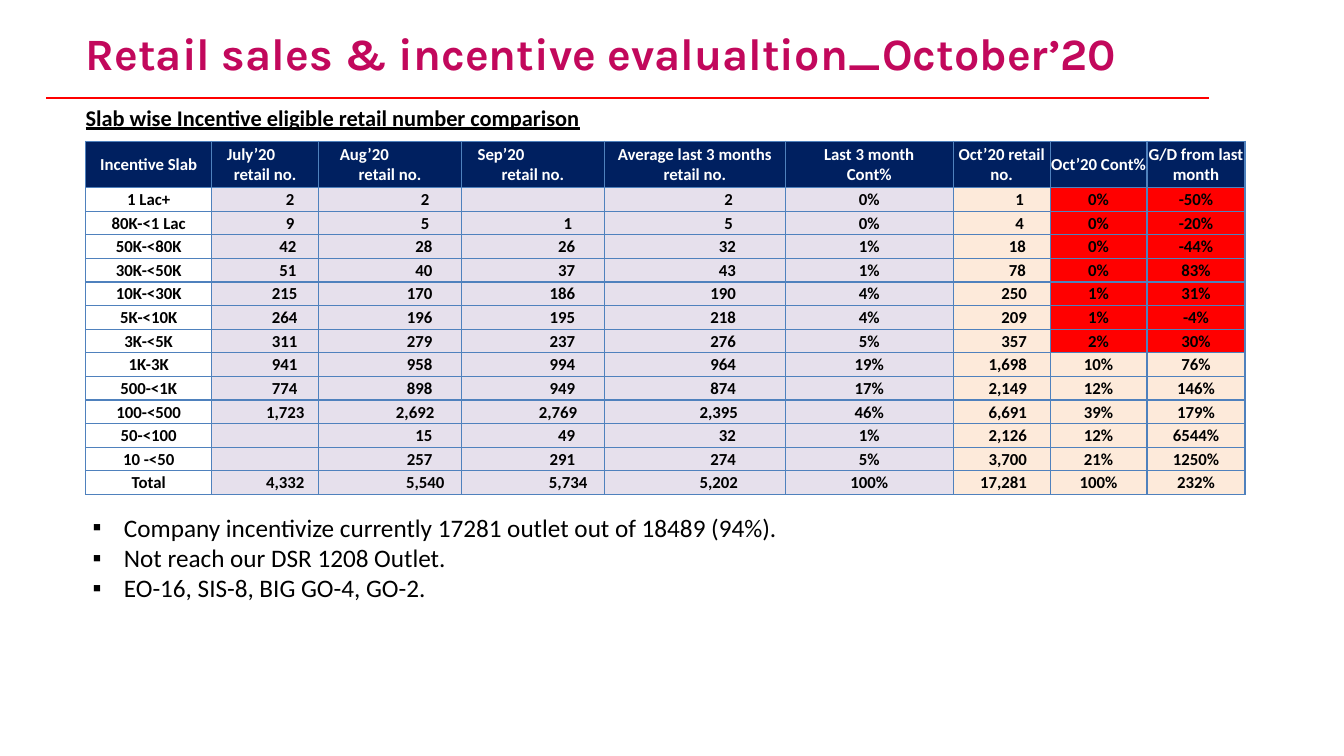
from lxml.etree import SubElement
from pptx import Presentation
from pptx.dml.color import RGBColor
from pptx.enum.shapes import MSO_CONNECTOR
from pptx.enum.text import MSO_ANCHOR, MSO_AUTO_SIZE, PP_ALIGN
from pptx.oxml.ns import qn
from pptx.util import Emu, Inches, Pt

SLIDE_WIDTH, SLIDE_HEIGHT = Inches(13.33), Inches(7.5)
NAVY, LILAC, PEACH, RED = "002060", "E6E0EC", "FDEADA", "FF0000"
BLACK, WHITE, MAGENTA, BORDER = "000000", "FFFFFF", "C2085C", "4F81BD"

HEADINGS = [
    ["Incentive Slab"],
    ["July’20", "retail no."],
    ["Aug’20", "retail no."],
    ["Sep’20", "retail no."],
    ["Average last 3 months", "retail no."],
    ["Last 3 month", "Cont%"],
    ["Oct’20 retail no."],
    ["Oct’20 Cont%"],
    ["G/D from last month"],
]
SLABS = [
    ["1 Lac+", "2", "2", "", "2", "0%", "1", "0%", "-50%"],
    ["80K-<1 Lac", "9", "5", "1", "5", "0%", "4", "0%", "-20%"],
    ["50K-<80K", "42", "28", "26", "32", "1%", "18", "0%", "-44%"],
    ["30K-<50K", "51", "40", "37", "43", "1%", "78", "0%", "83%"],
    ["10K-<30K", "215", "170", "186", "190", "4%", "250", "1%", "31%"],
    ["5K-<10K", "264", "196", "195", "218", "4%", "209", "1%", "-4%"],
    ["3K-<5K", "311", "279", "237", "276", "5%", "357", "2%", "30%"],
    ["1K-3K", "941", "958", "994", "964", "19%", "1,698", "10%", "76%"],
    ["500-<1K", "774", "898", "949", "874", "17%", "2,149", "12%", "146%"],
    ["100-<500", "1,723", "2,692", "2,769", "2,395", "46%", "6,691", "39%", "179%"],
    ["50-<100", "", "15", "49", "32", "1%", "2,126", "12%", "6544%"],
    ["10 -<50", "", "257", "291", "274", "5%", "3,700", "21%", "1250%"],
    ["Total", "4,332", "5,540", "5,734", "5,202", "100%", "17,281", "100%", "232%"],
]
COLUMN_WEIGHTS = [126, 107, 143, 143, 181, 168, 97, 97, 98]
MONTH_INDENTS = {1: 0.14, 2: 0.2, 3: 0.15}
COUNT_INSETS = {
    1: [0.24, 0.22, 0.21, 0.14, 0.14],
    2: [0.32, 0.29, 0.29, 0.27, 0.17],
    3: [0.32, 0.29, 0.29, 0.27, 0.17],
    4: [0.52, 0.49, 0.49, 0.47, 0.47],
    6: [0.26, 0.24, 0.23, 0.23, 0.23],
}
FINDINGS = [
    "Company incentivize currently 17281 outlet out of 18489 (94%).",
    "Not reach our DSR 1208 Outlet.",
    "EO-16, SIS-8, BIG GO-4, GO-2.",
]


def across(percent):
    return Emu(int(SLIDE_WIDTH * percent / 100))


def down(percent):
    return Emu(int(SLIDE_HEIGHT * percent / 100))


def area(left, top, width, height):
    return across(left), down(top), across(width), down(height)


def colour(value):
    return RGBColor.from_string(value)


def style(paragraph, size, hue, bold=False, underline=None, face="Calibri"):
    font = paragraph.font
    font.name, font.size, font.bold, font.underline = face, Pt(size), bold, underline
    font.color.rgb = colour(hue)


def place(holder, box):
    holder.left, holder.top, holder.width, holder.height = box


def add_title(slide, text, box):
    title = slide.shapes.title
    place(title, box)
    frame = title.text_frame
    frame.text = text
    frame.word_wrap = True
    frame.auto_size = MSO_AUTO_SIZE.NONE
    frame.vertical_anchor = MSO_ANCHOR.BOTTOM
    heading = frame.paragraphs[0]
    heading.alignment = PP_ALIGN.LEFT
    heading.line_spacing = 0.9
    style(heading, 32, MAGENTA, bold=True, face="Karla")


def add_rule(slide, start, end, height):
    rule = slide.shapes.add_connector(
        MSO_CONNECTOR.STRAIGHT, across(start), down(height), across(end), down(height))
    rule.line.color.rgb = colour(RED)
    rule.line.width = Pt(1.5)
    SubElement(rule._element.spPr, qn("a:effectLst"))


def add_caption(slide, text, box):
    frame = slide.shapes.add_textbox(*box).text_frame
    frame.word_wrap = False
    frame.text = text
    style(frame.paragraphs[0], 16, BLACK, bold=True, underline=True)


def add_findings(slide, lines, box):
    findings = slide.placeholders[1]
    place(findings, box)
    frame = findings.text_frame
    frame.text = "\n".join(lines)
    frame.word_wrap = True
    frame.auto_size = MSO_AUTO_SIZE.NONE
    for line in frame.paragraphs:
        properties = line._p.get_or_add_pPr()
        properties.set("marL", str(Inches(0.31)))
        properties.set("indent", str(-Inches(0.31)))
        SubElement(properties, qn("a:buChar")).set("char", "▪")
        line.space_before = Pt(0)
        style(line, 18, BLACK)


def outline(cell):
    properties = cell._tc.get_or_add_tcPr()
    for side in ("lnL", "lnR", "lnT", "lnB"):
        edge = SubElement(properties, qn(f"a:{side}"), w=str(Pt(1)))
        solid = SubElement(edge, qn("a:solidFill"))
        SubElement(solid, qn("a:srgbClr"), val=BORDER)


def fill_cell(cell, text, background, hue):
    outline(cell)
    if background:
        cell.fill.solid()
        cell.fill.fore_color.rgb = colour(background)
    else:
        cell.fill.background()
    cell.margin_left = cell.margin_top = cell.margin_right = Inches(0.01)
    cell.margin_bottom = 0
    cell.vertical_anchor = MSO_ANCHOR.MIDDLE
    cell.text = text
    for paragraph in cell.text_frame.paragraphs:
        paragraph.alignment = PP_ALIGN.CENTER
        style(paragraph, 12, hue, bold=True)
        if not text:
            SubElement(paragraph._p, qn("a:endParaRPr"), sz="1200")


def slab_background(column, slab):
    if column == 0:
        return None
    if column < 6:
        return LILAC
    return RED if column > 6 and slab < 7 else PEACH


def align_count(cell, column, count, is_total):
    digits = len(count.replace(",", ""))
    step = 4 if is_total else min(digits, 4) - 1
    cell.text_frame.paragraphs[0].alignment = PP_ALIGN.RIGHT
    cell.margin_right = Inches(COUNT_INSETS[column][step])


def add_slab_table(slide, box):
    width, height = box[2:]
    table = slide.shapes.add_table(len(SLABS) + 1, len(HEADINGS), *box).table
    table.first_row = table.horz_banding = False
    for column, weight in zip(table.columns, COLUMN_WEIGHTS):
        column.width = int(width * weight / sum(COLUMN_WEIGHTS))
    heading_height = Inches(0.46)
    table.rows[0].height = heading_height
    for slab in range(len(SLABS)):
        table.rows[slab + 1].height = int((height - heading_height) / len(SLABS))

    for column, lines in enumerate(HEADINGS):
        cell = table.cell(0, column)
        fill_cell(cell, "\n".join(lines), NAVY, WHITE)
        if column in MONTH_INDENTS:
            month = cell.text_frame.paragraphs[0]
            month.alignment = PP_ALIGN.LEFT
            month._p.get_or_add_pPr().set("marL", str(Inches(MONTH_INDENTS[column])))

    for slab, values in enumerate(SLABS):
        for column, value in enumerate(values):
            cell = table.cell(slab + 1, column)
            fill_cell(cell, value, slab_background(column, slab), BLACK)
            if value and column in COUNT_INSETS:
                align_count(cell, column, value, values[0] == "Total")


def main():
    deck = Presentation()
    deck.slide_width, deck.slide_height = SLIDE_WIDTH, SLIDE_HEIGHT
    slide = deck.slides.add_slide(deck.slide_layouts[1])
    add_rule(slide, 89.95, 3.45, 12.93)
    add_title(slide, "Retail sales & incentive evalualtion_October’20",
              area(5.63, 1.73, 86.27, 9.6))
    add_slab_table(slide, area(6.38, 18.67, 86.27, 46.8))
    add_caption(slide, "Slab wise Incentive eligible retail number comparison",
                area(5.63, 13.07, 39.08, 4.93))
    add_findings(slide, FINDINGS, area(6.15, 67.07, 86.57, 13.47))
    deck.save("out.pptx")


if __name__ == "__main__":
    main()
